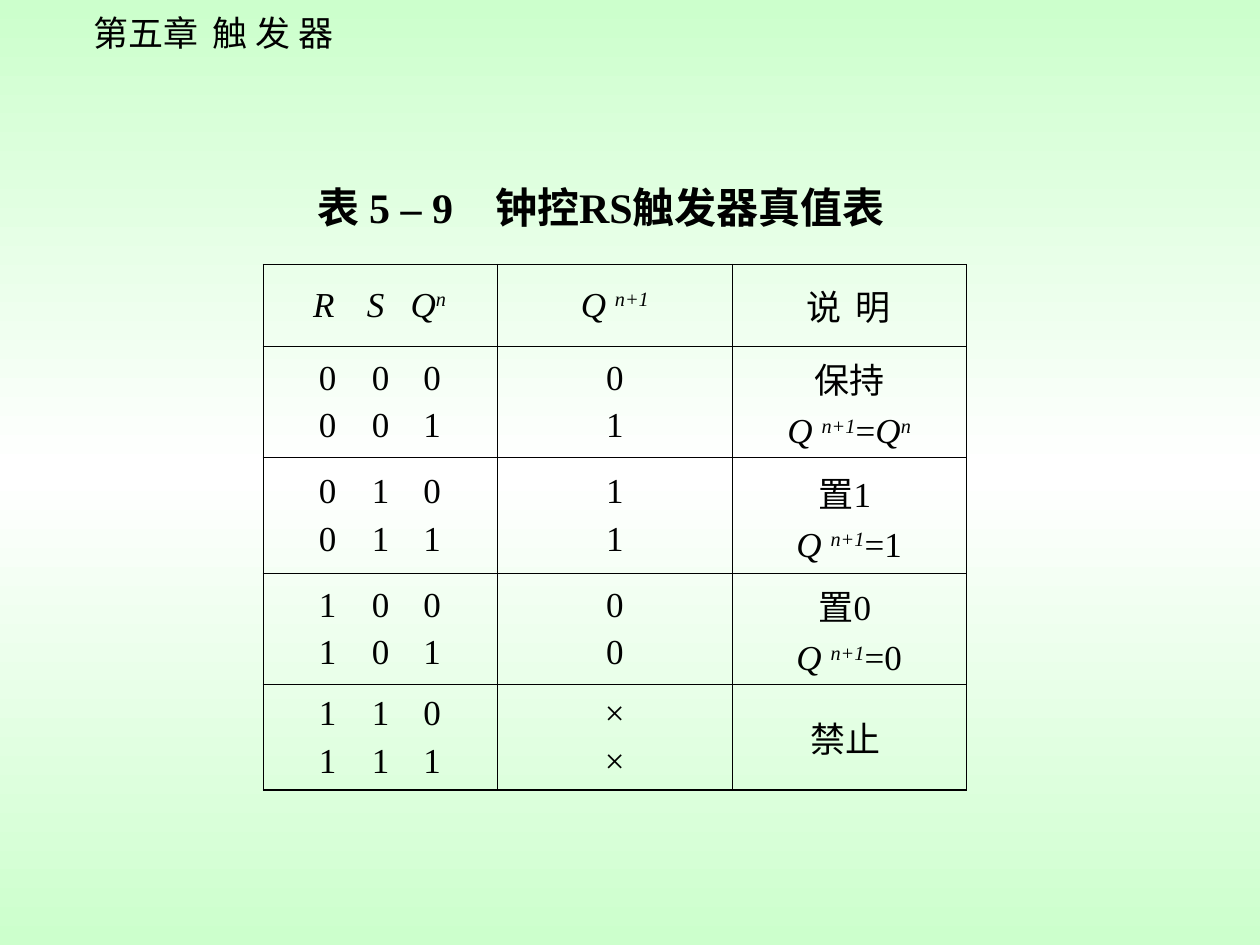
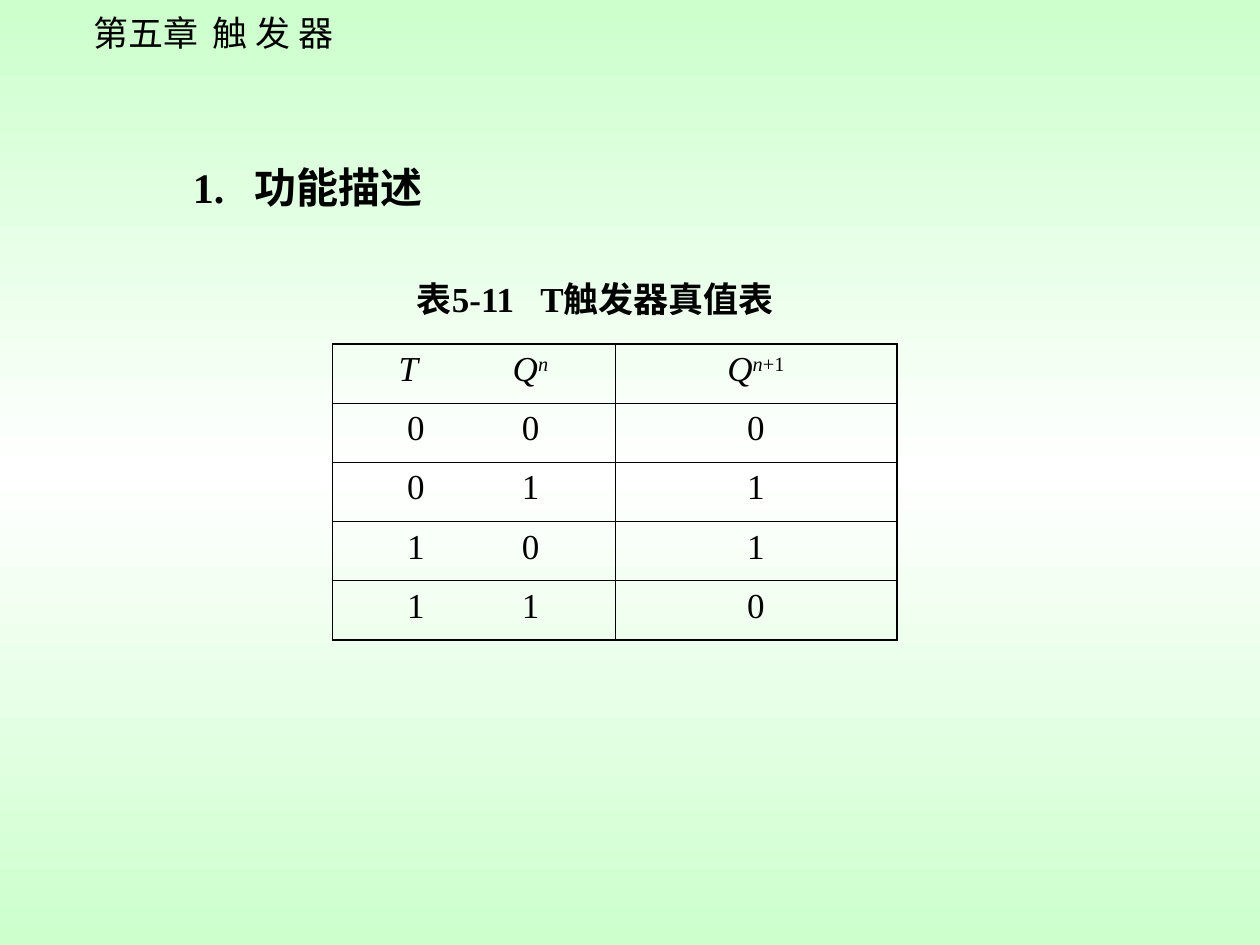
from lxml.etree import SubElement
from pptx import Presentation
from pptx.dml.color import RGBColor
from pptx.enum.text import MSO_ANCHOR, MSO_AUTO_SIZE, PP_ALIGN
from pptx.oxml import parse_xml
from pptx.oxml.ns import nsdecls, qn
from pptx.util import Inches, Pt

BLACK = RGBColor(0x00, 0x00, 0x00)
MINT = RGBColor(0xCC, 0xFF, 0xCC)
WHITE = RGBColor(0xFF, 0xFF, 0xFF)
SERIF = "Times New Roman"
CHINESE = "Noto Sans CJK SC"
TITLE_ONLY = 5
THICK, THIN = 1.08, 0.45

# Run styles: (italic, superscript)
UPRIGHT, ITALIC = (False, False), (True, False)
RAISED, RAISED_ITALIC = (False, True), (True, True)
STATE = [("Q", ITALIC), ("n", RAISED_ITALIC)]
NEXT_STATE = [("Q ", ITALIC), ("n+1", RAISED_ITALIC)]


def plain(text):
    return [(text, UPRIGHT)]


def add_run(paragraph, text, size=20, font=SERIF, bold=False, style=UPRIGHT):
    italic, superscript = style
    run = paragraph.add_run()
    run.text = text
    run.font.size = Pt(size)
    run.font.name = font
    run.font.bold = bold
    run.font.italic = italic
    run.font.color.rgb = BLACK
    properties = run.font._element
    SubElement(properties, qn("a:ea")).set("typeface", CHINESE)
    if superscript:
        properties.set("baseline", "30000")


def set_tabs(paragraph, positions, alignment):
    tab_list = SubElement(paragraph._p.get_or_add_pPr(), qn("a:tabLst"))
    for position in positions:
        tab = SubElement(tab_list, qn("a:tab"))
        tab.set("pos", str(Inches(position)))
        tab.set("algn", alignment)


def write_heading(shape, box, text, tab, size=24, font=SERIF, bold=True):
    """Place a one-line heading whose second part starts at a tab stop."""
    shape.left, shape.top, shape.width, shape.height = map(Inches, box)
    frame = shape.text_frame
    frame.word_wrap = True
    frame.auto_size = MSO_AUTO_SIZE.NONE
    frame.vertical_anchor = MSO_ANCHOR.TOP
    paragraph = frame.paragraphs[0]
    paragraph.alignment = PP_ALIGN.LEFT
    set_tabs(paragraph, [tab], "l")
    add_run(paragraph, text, size, font, bold)


def add_heading(slide, box, *args, **options):
    write_heading(slide.shapes.add_textbox(*map(Inches, box)), box, *args, **options)


def set_borders(cell, widths):
    """Draw the left, right, top and bottom edges in the given point widths."""
    properties = cell._tc.get_or_add_tcPr()
    for index, (side, width) in enumerate(zip("LRTB", widths)):
        properties.insert(index, parse_xml(
            f'<a:ln{side} {nsdecls("a")} w="{Pt(width)}"><a:solidFill>'
            f'<a:srgbClr val="{BLACK}"/></a:solidFill></a:ln{side}>'))


def fill_cell(cell, lines, tabs, anchor):
    """Write lines of runs, centred, or on centred tab stops if there are any."""
    cell.fill.background()
    cell.vertical_anchor = anchor
    frame = cell.text_frame
    for index, runs in enumerate(lines):
        paragraph = frame.add_paragraph() if index else frame.paragraphs[0]
        paragraph.alignment = PP_ALIGN.LEFT if tabs else PP_ALIGN.CENTER
        if index:
            paragraph.space_before = Pt(5)
        if tabs:
            set_tabs(paragraph, tabs, "ctr")
        for text, style in runs:
            add_run(paragraph, text, style=style)


def add_truth_table(slide, left, top, column_width, row_heights, rows, tabs, anchor):
    """Add a table of cells; tabs maps (row, column) to tab stops."""
    row_count, column_count = len(rows), len(rows[0])
    table = slide.shapes.add_table(
        row_count, column_count, Inches(left), Inches(top),
        Inches(column_width * column_count), Inches(sum(row_heights))).table
    table.first_row = table.horz_banding = False
    for column in table.columns:
        column.width = Inches(column_width)
    for r, (height, row) in enumerate(zip(row_heights, rows)):
        table.rows[r].height = Inches(height)
        for c, lines in enumerate(row):
            cell = table.cell(r, c)
            fill_cell(cell, lines, tabs.get((r, c)), anchor)
            outer = (c == 0, c == column_count - 1, r == 0, r == row_count - 1)
            set_borders(cell, [THICK if edge else THIN for edge in outer])


def tabbed_bits(number, count):
    return plain("".join(f"\t{bit}" for bit in f"{number:0{count}b}"))


def set_background(master):
    fill = master.background.fill
    fill.gradient()
    fill.gradient_angle = 270
    stops = master.element.xpath(".//p:bg//a:gsLst")[0]
    stops.clear()
    for position, color in ((0, MINT), (50, WHITE), (100, MINT)):
        stop = SubElement(stops, qn("a:gs"))
        stop.set("pos", str(position * 1000))
        SubElement(stop, qn("a:srgbClr")).set("val", str(color))


def add_chapter_slide(presentation, title_box, title, tab):
    slide = presentation.slides.add_slide(presentation.slide_layouts[TITLE_ONLY])
    add_heading(slide, (0.64, 0.04, 2.18, 0.44), "第五章\t触 发 器", 0.95,
                size=20, font=CHINESE, bold=False)
    write_heading(slide.shapes.title, title_box, title, tab)
    return slide


def build_clocked_rs_slide(presentation):
    slide = add_chapter_slide(presentation, (2.42, 1.39, 4.93, 0.5),
                              "表 5 – 9\t钟控RS触发器真值表", 1.41)
    header = [[[("\tR\tS\t", ITALIC), *STATE]], [NEXT_STATE], [plain("\t说\t明")]]
    outcomes = [
        ("01", [plain("保持"), NEXT_STATE + plain("=") + STATE]),
        ("11", [plain("置1 "), NEXT_STATE + plain("=1")]),
        ("00", [plain("置0 "), NEXT_STATE + plain("=0")]),
        ("××", [plain("禁止 ")]),
    ]
    rows = [header]
    for index, (results, meaning) in enumerate(outcomes):
        inputs = [tabbed_bits(2 * index + state, 3) for state in (0, 1)]
        rows.append([inputs, [plain(result) for result in results], meaning])
    tabs = {(r, 0): (0.41, 0.83, 1.24) for r in range(1, 5)}
    tabs[0, 0] = (0.38, 0.79, 1.21)
    tabs[0, 2] = (0.63, 1.02)
    add_truth_table(slide, 2.09, 2.1, 1.86, (0.65, 0.84, 0.92, 0.84, 0.84),
                    rows, tabs, MSO_ANCHOR.MIDDLE)


def build_t_slide(presentation):
    slide = add_chapter_slide(presentation, (1.43, 1.23, 2.1, 0.5),
                              "1.\t功能描述", 0.49)
    header = [[[("\tT\t", ITALIC), *STATE]], [STATE + [("+1", RAISED)]]]
    rows = [header] + [[[tabbed_bits(number, 2)], [plain(result)]]
                       for number, result in enumerate("0110")]
    tabs = {(r, 0): (0.56, 1.47) for r in range(1, 5)}
    tabs[0, 0] = (0.5, 1.47)
    add_truth_table(slide, 2.64, 2.73, 2.24, [0.47] * 5, rows, tabs, MSO_ANCHOR.TOP)
    add_heading(slide, (3.21, 2.15, 3.19, 0.45), "表5-11\tT触发器真值表", 0.98, size=20)


def main():
    presentation = Presentation()
    presentation.slide_width, presentation.slide_height = Inches(10), Inches(7.5)
    set_background(presentation.slide_master)
    build_clocked_rs_slide(presentation)
    build_t_slide(presentation)
    presentation.save("out.pptx")


if __name__ == "__main__":
    main()
